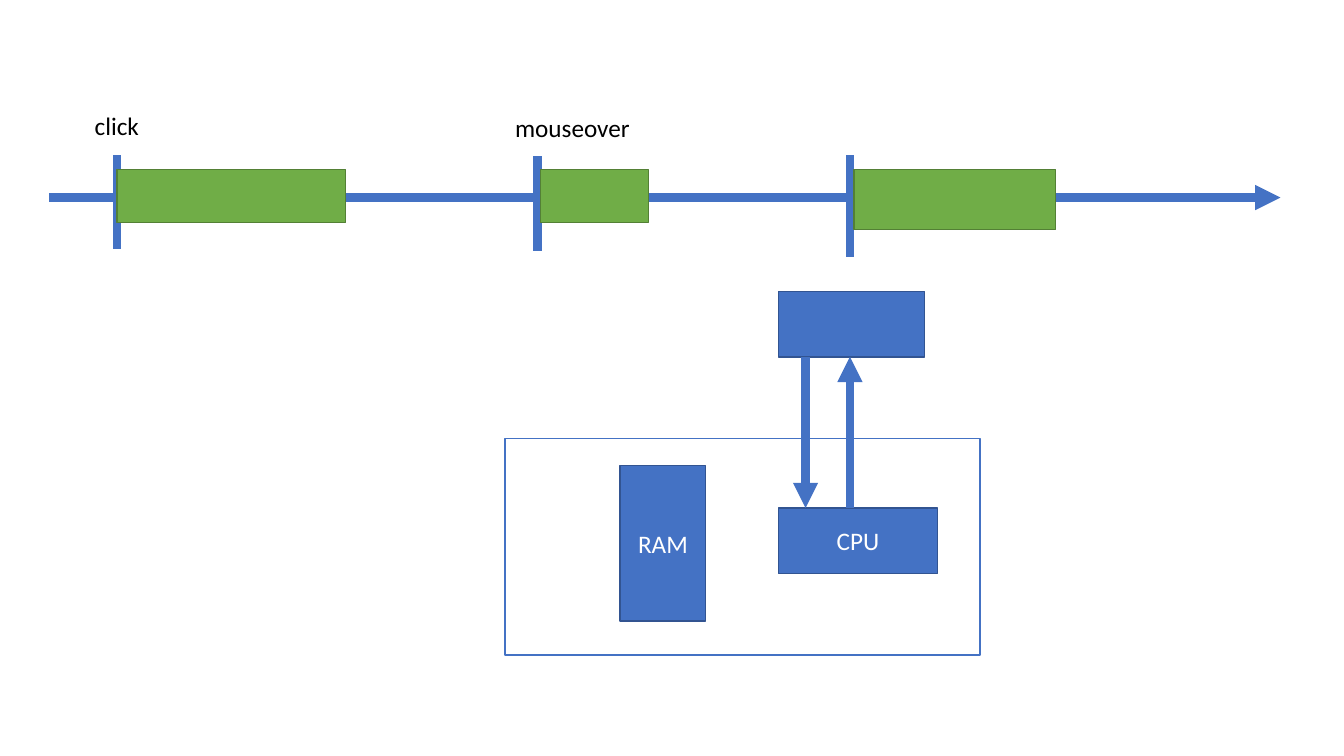
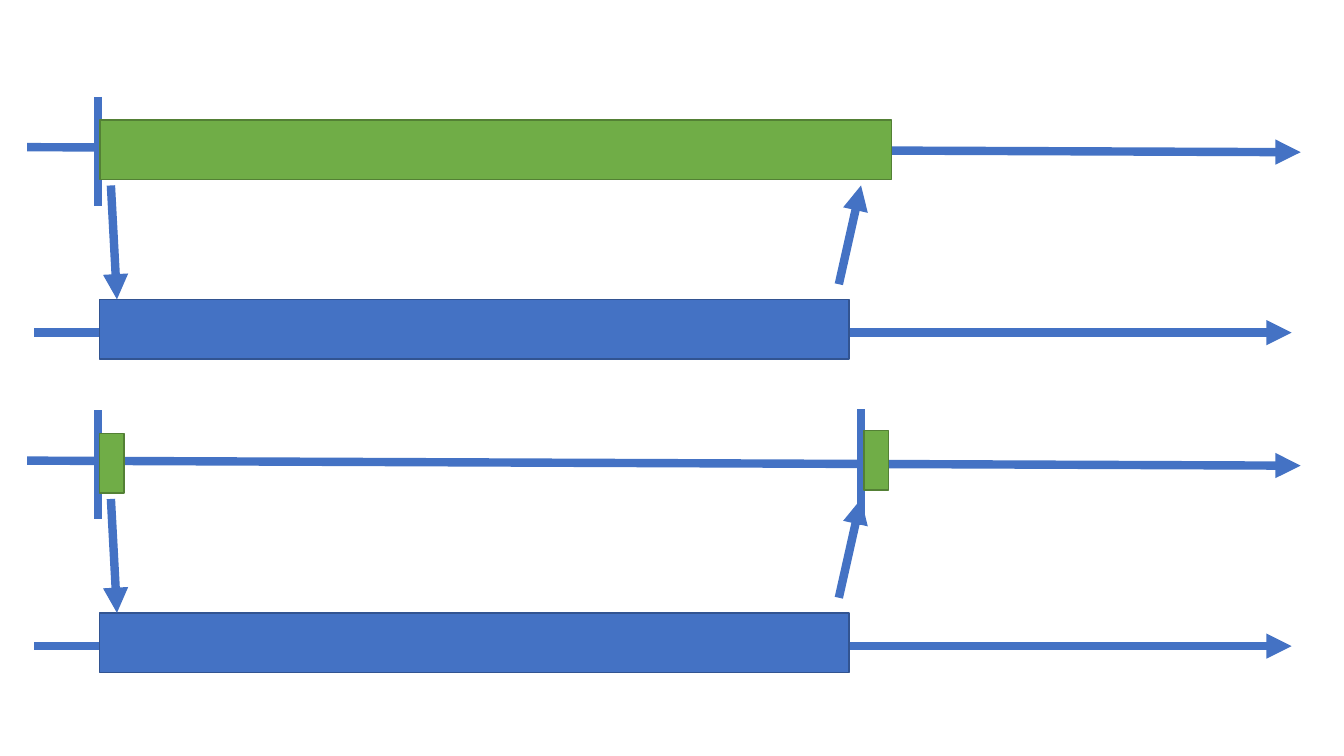
import lxml.etree
import pptx
import pptx.dml.color
import pptx.enum.shapes
import pptx.enum.text
import pptx.oxml.ns
import pptx.util

Inches = pptx.util.Inches
qn = pptx.oxml.ns.qn
COLORS = {"blue": "4472C4", "blue_edge": "325491", "green": "70AD47",
          "green_edge": "538035", "white": "FFFFFF", "black": "000000"}
FONT = "Calibri"
TEXT_SIZE = 18
EDGE_WIDTH = 1
LINE_WIDTH = 6
BAR_HEIGHT = 0.59
LANE_PITCH = 3.11


def rgb(name):
    """Return the named colour."""
    return pptx.dml.color.RGBColor.from_string(COLORS[name])


def add_run(paragraph, text, color):
    """Add one run in the shared text style."""
    run = paragraph.add_run()
    run.text = text
    run.font.name = FONT
    run.font.size = pptx.util.Pt(TEXT_SIZE)
    run.font.color.rgb = rgb(color)


def add_box(slide, left, top, width, height, fill="blue", edge="blue_edge", text=""):
    """Add an outlined rectangle with optional centred text."""
    shape = slide.shapes.add_shape(
        pptx.enum.shapes.MSO_SHAPE.RECTANGLE,
        Inches(left), Inches(top), Inches(width), Inches(height))
    shape.shadow.inherit = False
    shape.fill.solid()
    shape.fill.fore_color.rgb = rgb(fill)
    shape.line.color.rgb = rgb(edge)
    shape.line.width = pptx.util.Pt(EDGE_WIDTH)
    if text:
        shape.text_frame.vertical_anchor = pptx.enum.text.MSO_ANCHOR.MIDDLE
        paragraph = shape.text_frame.paragraphs[0]
        paragraph.alignment = pptx.enum.text.PP_ALIGN.CENTER
        add_run(paragraph, text, "white")


def add_task(slide, left, top, width, height=BAR_HEIGHT):
    """Add a green bar for work on the main thread."""
    add_box(slide, left, top, width, height, "green", "green_edge")


def add_line(slide, start, end, arrow=False):
    """Add a thick blue line, with an arrowhead at its end if asked."""
    connector = slide.shapes.add_connector(
        pptx.enum.shapes.MSO_CONNECTOR.STRAIGHT,
        *[Inches(value) for value in (*start, *end)])
    connector.line.color.rgb = rgb("blue")
    connector.line.width = pptx.util.Pt(LINE_WIDTH)
    properties = connector.element.find(qn("p:spPr"))
    if arrow:
        outline = properties.find(qn("a:ln"))
        lxml.etree.SubElement(outline, qn("a:tailEnd"), type="triangle")
    lxml.etree.SubElement(properties, qn("a:effectLst"))


def add_marker(slide, x, top, height):
    """Add a vertical line where an event fires."""
    add_line(slide, (x, top), (x, top + height))


def add_label(slide, text, left, top, width, height=0.4):
    """Add an unwrapped text label that grows with its text."""
    label = slide.shapes.add_textbox(
        Inches(left), Inches(top), Inches(width), Inches(height))
    label.text_frame.word_wrap = False
    label.text_frame.auto_size = pptx.enum.text.MSO_AUTO_SIZE.SHAPE_TO_FIT_TEXT
    add_run(label.text_frame.paragraphs[0], text, "black")


def add_event_timeline(slide, left, top, width):
    """Draw the event timeline with its axis starting at left, top."""
    add_line(slide, (left, top), (left + width, top), arrow=True)
    events = [
        (0.67, -0.42, 0.93, 0.67, 2.27, 0.53),
        (4.84, -0.41, 0.94, 4.87, 1.07, 0.53),
        (7.94, -0.42, 1.01, 7.98, 2, 0.6),
    ]
    for x, rise, height, task_x, task_width, task_height in events:
        add_marker(slide, left + x, top + rise, height)
        add_task(slide, left + task_x, top - 0.28, task_width, task_height)
    add_label(slide, "click", left + 0.35, top - 0.91, 0.65)
    add_label(slide, "mouseover", left + 4.52, top - 0.89, 1.35)


def add_computer(slide, left, top, width, height):
    """Draw a computer in the given frame and the device above it."""
    add_box(slide, left, top, width, height, "white", "blue")
    unit_left, unit_height = left + 2.71, 0.65
    cpu_top, device_top = top + 0.69, top - 1.46
    add_box(slide, unit_left, cpu_top, 1.58, unit_height, text="CPU")
    add_box(slide, left + 1.14, top + 0.27, 0.85, 1.54, text="RAM")
    add_box(slide, unit_left, device_top, 1.45, unit_height)
    device_bottom = device_top + unit_height
    request_x, reply_x = unit_left + 0.27, unit_left + 0.71
    add_line(slide, (reply_x, cpu_top), (reply_x, device_bottom), arrow=True)
    add_line(slide, (request_x, device_bottom), (request_x, cpu_top), arrow=True)


def add_thread_pair(slide, left, top, task_width, callback=False):
    """Draw a main thread above a worker, with the calls between them."""
    work_left, worker_top = left + 0.72, top + 2.01
    call_y = top + 0.88
    add_line(slide, (left, top + 0.5), (left + 12.63, top + 0.55), arrow=True)
    add_marker(slide, left + 0.7, top, 1.08)
    add_task(slide, work_left, top + 0.23, task_width)
    axis_y = worker_top + 0.33
    add_line(slide, (left + 0.07, axis_y), (left + 12.54, axis_y), arrow=True)
    add_box(slide, work_left, worker_top, 7.43, BAR_HEIGHT)
    add_line(slide, (left + 0.83, call_y), (left + 0.89, worker_top), arrow=True)
    add_line(slide, (left + 8.05, worker_top - 0.15), (left + 8.27, call_y), arrow=True)
    if callback:
        add_marker(slide, left + 8.27, top - 0.01, 1.15)
        add_task(slide, left + 8.3, top + 0.2, task_width)


def build_events_slide(slide):
    """Build the slide of events and the hardware behind them."""
    add_event_timeline(slide, 0.49, 1.96, 12.21)
    add_computer(slide, 5.01, 4.35, 4.71, 2.15)


def build_threads_slide(slide):
    """Build the slide comparing blocking and callback calls."""
    for index, (task_width, callback) in enumerate([(7.85, False), (0.24, True)]):
        add_thread_pair(slide, 0.27, 0.96 + index * LANE_PITCH, task_width, callback)


def main():
    """Build and save the presentation."""
    presentation = pptx.Presentation()
    presentation.slide_width = Inches(13.33)
    presentation.slide_height = Inches(7.5)
    for build in (build_events_slide, build_threads_slide):
        build(presentation.slides.add_slide(presentation.slide_layouts[6]))
    presentation.save("out.pptx")


main()
